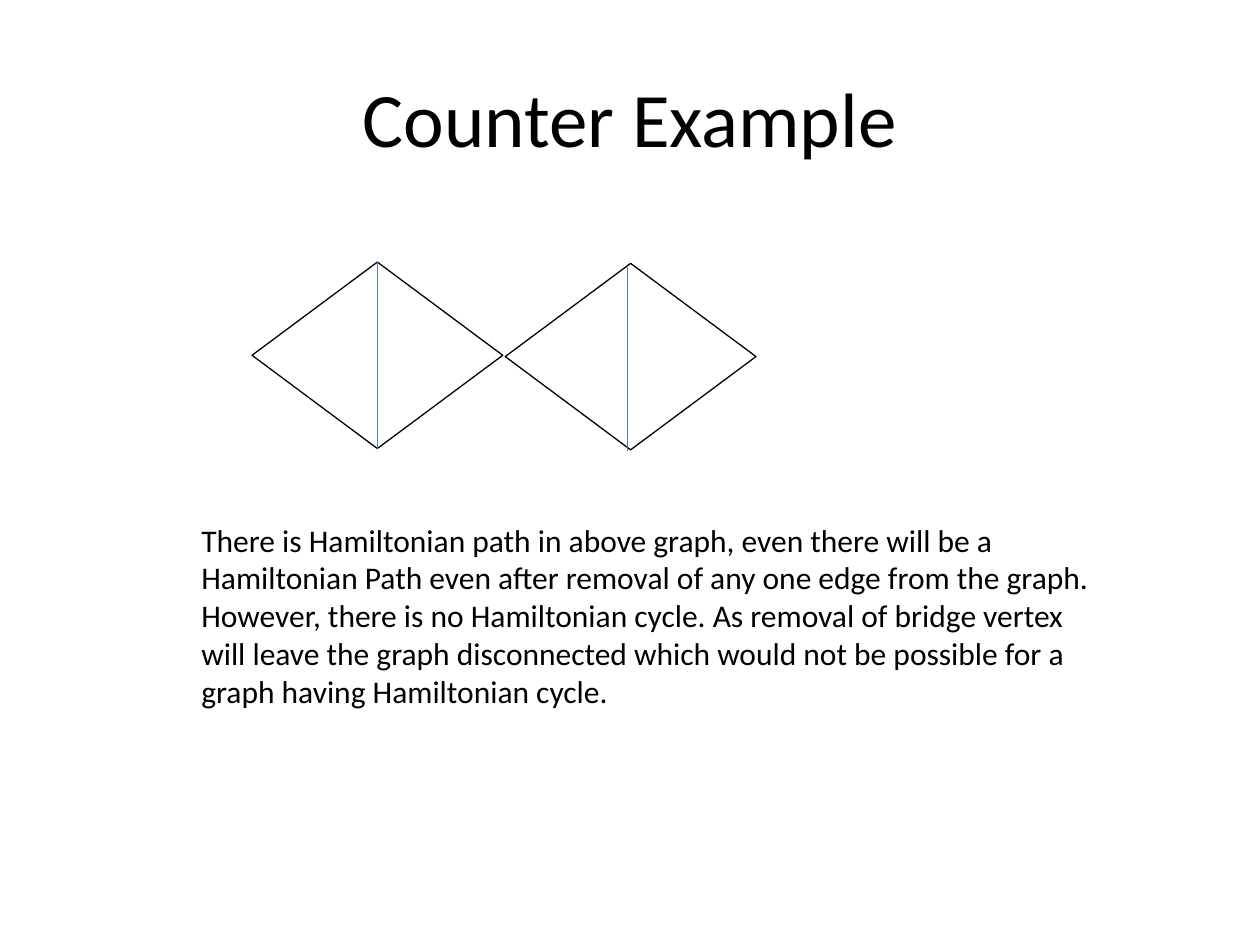
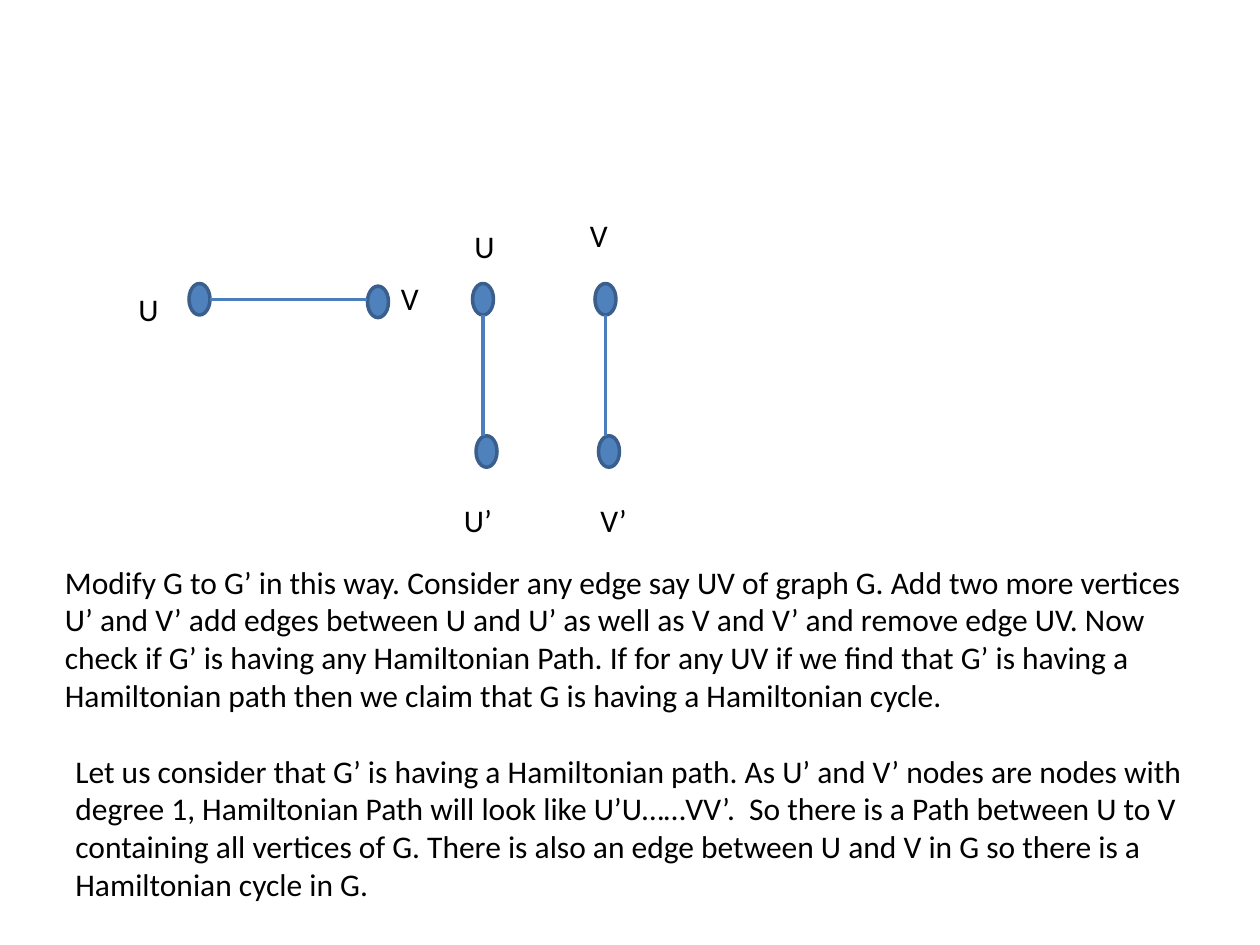
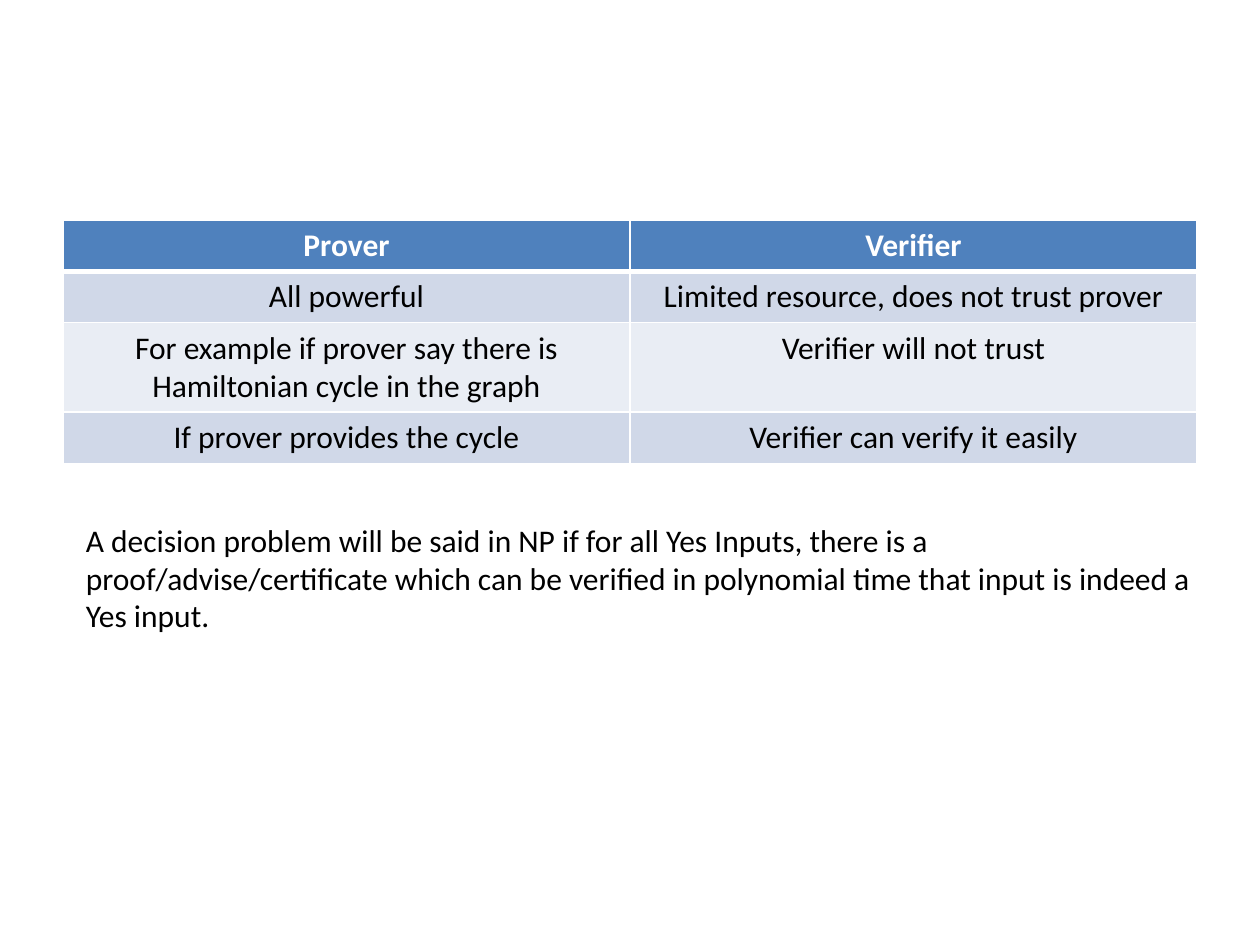
from lxml.etree import SubElement
from pptx import Presentation
from pptx.dml.color import RGBColor
from pptx.enum.shapes import MSO_CONNECTOR, MSO_SHAPE
from pptx.enum.text import MSO_ANCHOR, PP_ALIGN
from pptx.oxml.ns import qn
from pptx.util import Pt

FONT = "Calibri"
BLACK, WHITE = "000000", "FFFFFF"
BLUE, EDGE_BLUE, NODE_OUTLINE = "4F81BD", "4B7EBC", "3A5F8C"
DARK_BAND, LIGHT_BAND = "D0D8E8", "E9EDF4"

# Boxes are (left, top, width, height) in points.
TITLE = ("Counter Example", (36, 21.6, 648, 90))
DIAMONDS = [(144, 149.76, 143.28, 106.56), (288.72, 150.48, 143.28, 106.56)]
SECOND_DIAGONAL = (358.5, 151.9, 358.5, 257.8)
COUNTER_TEXT = (
    "There is Hamiltonian path in above graph, even there will be a Hamiltonian Path even after "
    "removal of any one edge from the graph. However, there is no Hamiltonian cycle. As removal of "
    "bridge vertex will leave the graph disconnected which would not be possible for a graph having "
    "Hamiltonian cycle.", (108, 294, 534, 117))

NODE_WIDTH, NODE_HEIGHT = 12, 18
# Each edge: left and top of its first node, then of its second node.
HORIZONTAL_EDGES = [((108, 162), (210, 163.5))]
VERTICAL_EDGES = [((270, 162), (272, 249)), ((340, 162), (342, 249))]
NODE_LABELS = [
    ("U", (72, 162, 30, 29)), ("V", (222, 156, 30, 29)),
    ("U", (264, 126, 30, 29)), ("V", (330, 120, 30, 29)),
    ("U’", (258, 283, 36, 29)), ("V’", (336, 283, 36, 29)),
]
REDUCTION_TEXTS = [
    ("Modify G to G’ in this way. Consider any edge say UV of graph G. Add two more vertices U’ and "
     "V’ add edges between U and U’ as well as V and V’ and remove edge UV. Now check if G’ is having "
     "any Hamiltonian Path. If for any UV if we find that G’ is having a Hamiltonian path then we "
     "claim that G is having a Hamiltonian cycle.", (30, 318, 666, 94.5)),
    ("Let us consider that G’ is having a Hamiltonian path. As U’ and V’ nodes are nodes with degree "
     "1, Hamiltonian Path will look like U’U……VV’.  So there is a Path between U to V containing all "
     "vertices of G. There is also an edge between U and V in G so there is a Hamiltonian cycle in G.",
     (36, 426, 660, 94.5)),
]

ROLES = [
    ("Prover", "Verifier"),
    ("All powerful", "Limited resource, does not trust prover"),
    ("For example if prover say there is Hamiltonian cycle in the graph", "Verifier will not trust"),
    ("If prover provides the cycle", "Verifier can verify it easily"),
]
TABLE_LEFT, TABLE_TOP, COLUMN_WIDTH, ROW_HEIGHT = 36, 126, 324, 29.2
NP_TEXT = (
    "A decision problem will be said in NP if for all Yes Inputs, there is a "
    "proof/advise/certificate which can be verified in polynomial time that input is indeed a Yes "
    "input.", (42, 294, 648, 73))


def rgb(color):
    return RGBColor.from_string(color)


def points(values):
    return [Pt(value) for value in values]


def write(frame, text, size=18, color=BLACK, bold=False, align=PP_ALIGN.LEFT):
    paragraph = frame.paragraphs[0]
    paragraph.alignment = align
    run = paragraph.add_run()
    run.text = text
    font = run.font
    font.name, font.size, font.bold = FONT, Pt(size), bold
    font.color.rgb = rgb(color)


def add_text(slide, text, box, anchor=MSO_ANCHOR.TOP, **style):
    frame = slide.shapes.add_textbox(*points(box)).text_frame
    frame.word_wrap = True
    frame.vertical_anchor = anchor
    write(frame, text, **style)


def add_shape(slide, kind, box, fill, outline, width):
    shape = slide.shapes.add_shape(kind, *points(box))
    shape.shadow.inherit = False
    shape.fill.solid()
    shape.fill.fore_color.rgb = rgb(fill)
    shape.line.color.rgb = rgb(outline)
    shape.line.width = Pt(width)
    return shape


def add_line(slide, ends, width):
    line = slide.shapes.add_connector(MSO_CONNECTOR.STRAIGHT, *points(ends))
    line.line.color.rgb = rgb(EDGE_BLUE)
    line.line.width = Pt(width)
    SubElement(line._element.spPr, qn("a:effectLst"))
    return line


def add_edge(slide, start, end, horizontal):
    """Draw two nodes and the level or upright edge between them."""
    for left, top in (start, end):
        add_shape(slide, MSO_SHAPE.OVAL, (left, top, NODE_WIDTH, NODE_HEIGHT), BLUE, NODE_OUTLINE, 2)
    x, y = start
    if horizontal:
        middle = y + NODE_HEIGHT / 2
        ends = (x + NODE_WIDTH, middle, end[0], middle)
    else:
        middle = x + NODE_WIDTH / 2
        ends = (middle, y + NODE_HEIGHT, middle, end[1])
    add_line(slide, ends, 1.75)


def set_borders(cell, bottom, top):
    properties = cell._tc.get_or_add_tcPr()
    for side, width in (("L", 1), ("R", 1), ("T", top), ("B", bottom)):
        border = SubElement(properties, qn(f"a:ln{side}"), w=str(Pt(width)))
        SubElement(SubElement(border, qn("a:solidFill")), qn("a:srgbClr"), val=WHITE)


def add_roles_table(slide):
    rows, columns = len(ROLES), len(ROLES[0])
    box = (TABLE_LEFT, TABLE_TOP, COLUMN_WIDTH * columns, ROW_HEIGHT * rows)
    table = slide.shapes.add_table(rows, columns, *points(box)).table
    for row, texts in enumerate(ROLES):
        header = row == 0
        fill = BLUE if header else DARK_BAND if row % 2 else LIGHT_BAND
        for column, text in enumerate(texts):
            cell = table.cell(row, column)
            set_borders(cell, bottom=3 if header else 1, top=3 if row == 1 else 1)
            cell.fill.solid()
            cell.fill.fore_color.rgb = rgb(fill)
            write(cell.text_frame, text, color=WHITE if header else BLACK,
                  bold=header, align=PP_ALIGN.CENTER)


def build_counter_example(slide):
    add_text(slide, *TITLE, anchor=MSO_ANCHOR.MIDDLE, size=44, align=PP_ALIGN.CENTER)
    diamonds = [add_shape(slide, MSO_SHAPE.DIAMOND, box, WHITE, BLACK, 0.75) for box in DIAMONDS]
    diagonal = add_line(slide, (0, 0, 0, 0), 0.75)
    diagonal.begin_connect(diamonds[0], 0)
    diagonal.end_connect(diamonds[0], 2)
    add_line(slide, SECOND_DIAGONAL, 0.75)
    add_text(slide, *COUNTER_TEXT)


def build_reduction(slide):
    for start, end in HORIZONTAL_EDGES:
        add_edge(slide, start, end, horizontal=True)
    for start, end in VERTICAL_EDGES:
        add_edge(slide, start, end, horizontal=False)
    for text, box in NODE_LABELS + REDUCTION_TEXTS:
        add_text(slide, text, box)


def build_roles(slide):
    add_roles_table(slide)
    add_text(slide, *NP_TEXT)


def main():
    presentation = Presentation()
    presentation.slide_width, presentation.slide_height = Pt(720), Pt(540)
    blank = presentation.slide_layouts[6]
    for build in (build_counter_example, build_reduction, build_roles):
        build(presentation.slides.add_slide(blank))
    presentation.save("out.pptx")


if __name__ == "__main__":
    main()
